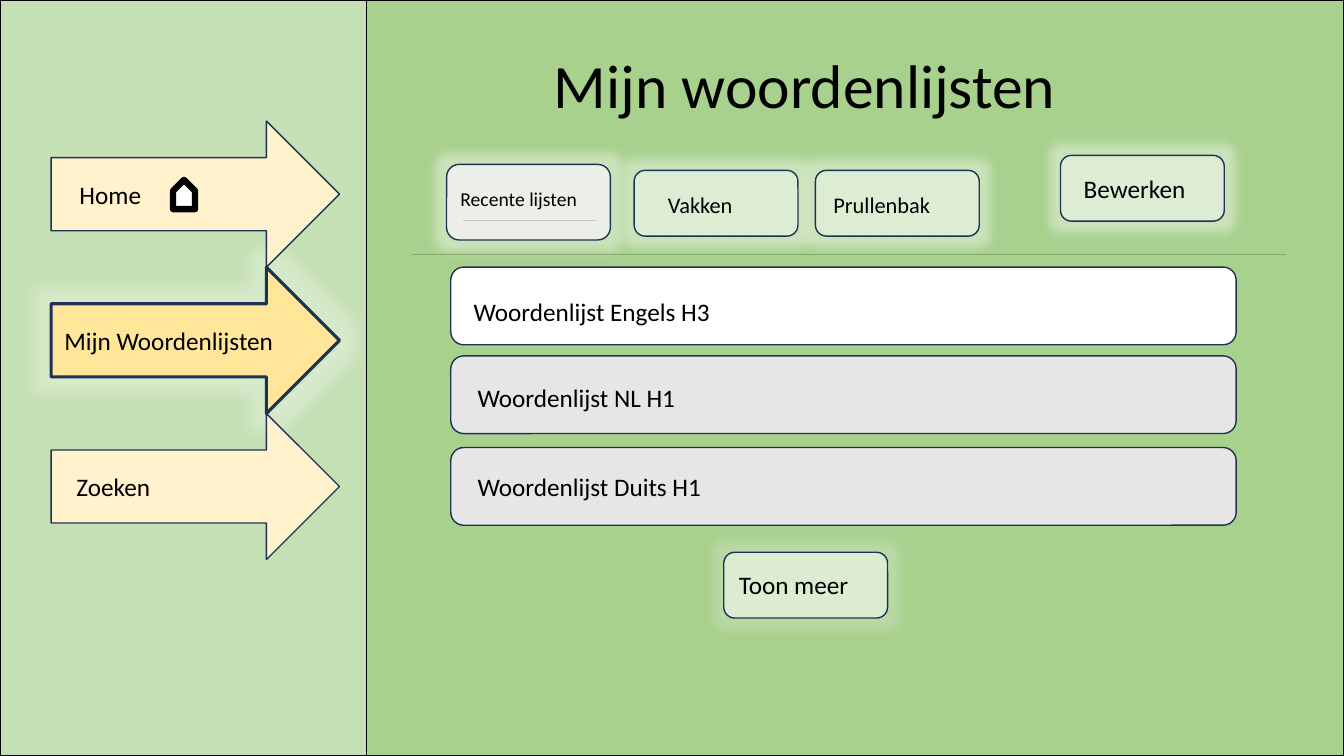
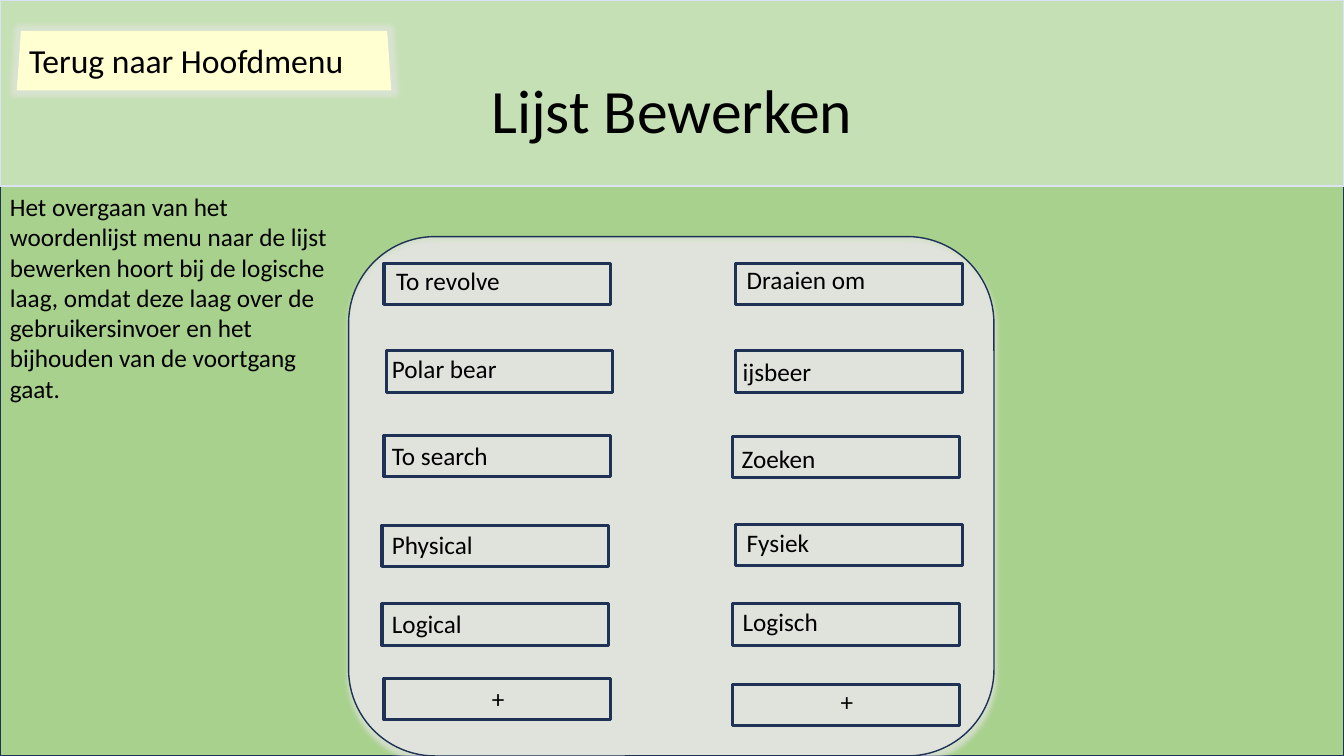
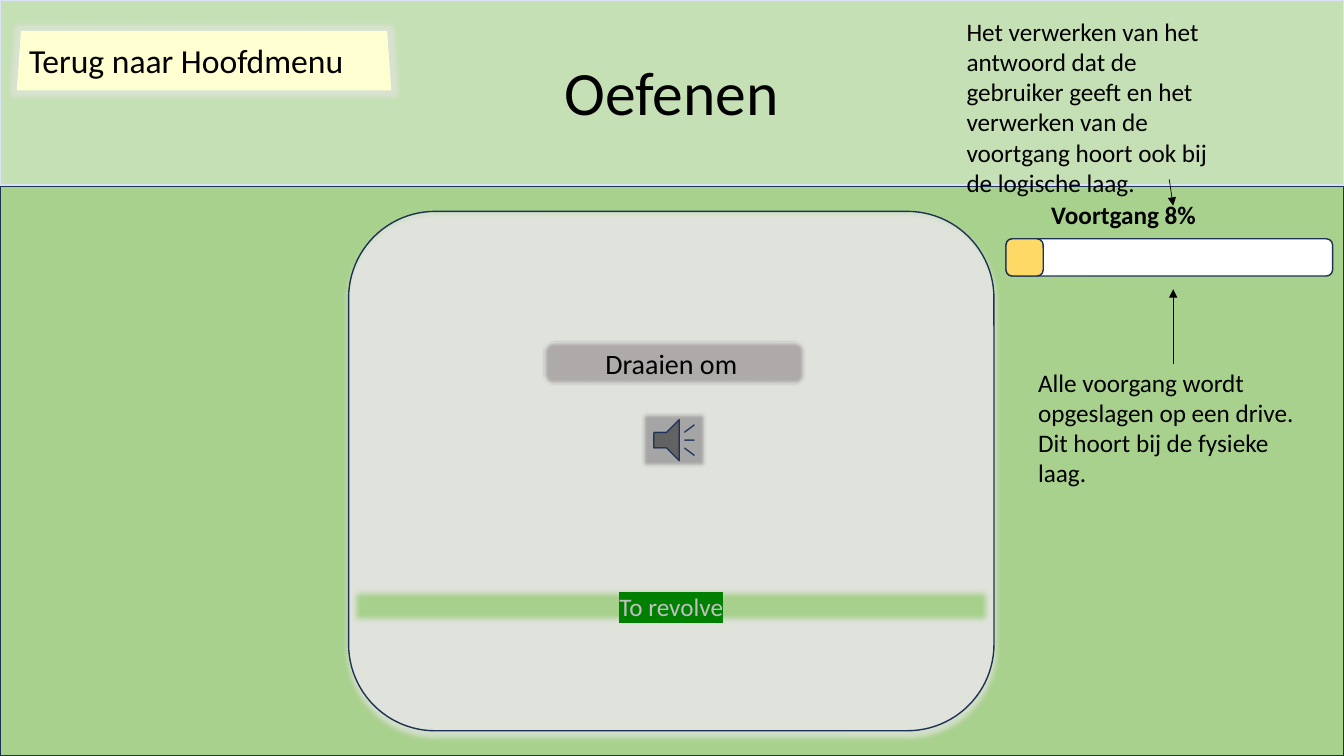
from dataclasses import dataclass

from lxml import etree
from pptx import Presentation
from pptx.dml.color import RGBColor
from pptx.enum.shapes import MSO_CONNECTOR, MSO_SHAPE
from pptx.enum.text import MSO_ANCHOR, MSO_AUTO_SIZE, PP_ALIGN
from pptx.oxml.ns import qn
from pptx.util import Pt

RECT = MSO_SHAPE.RECTANGLE
ROUND = MSO_SHAPE.ROUNDED_RECTANGLE
ARROW = MSO_SHAPE.RIGHT_ARROW
HOUSE = MSO_SHAPE.PENTAGON
TRAPEZOID = MSO_SHAPE.TRAPEZOID
SOUND = MSO_SHAPE.ACTION_BUTTON_SOUND
STRAIGHT = MSO_CONNECTOR.STRAIGHT
LEFT = PP_ALIGN.LEFT
CENTER = PP_ALIGN.CENTER
MIDDLE = MSO_ANCHOR.MIDDLE
FIXED = MSO_AUTO_SIZE.NONE
TITLE_ONLY = 5


@dataclass(frozen=True)
class Theme:
    font: str = "Calibri"
    black: str = "000000"
    white: str = "FFFFFF"
    navy: str = "1E3256"
    green: str = "A9D18E"
    light_green: str = "C5E0B4"
    pale_green: str = "E2F0D9"
    header_edge: str = "DAE3F3"
    rule: str = "86A873"
    underline: str = "C8C8C8"
    cream: str = "FFF2CC"
    yellow: str = "FFE699"
    amber: str = "FFD966"
    back: str = "FFFFD1"
    smoke: str = "F2F2F2"
    gray: str = "E7E6E6"
    mid_gray: str = "AFABAB"
    sound: str = "A6A6A6"
    answer: str = "BFBFBF"
    highlight: str = "008000"
    title: int = 44
    large: int = 24
    prompt: int = 20
    body: int = 18
    small: int = 16
    tiny: int = 14


THEME = Theme()


def add_color(parent, color, alpha=100):
    node = etree.SubElement(parent, qn("a:srgbClr"), val=color)
    if alpha < 100:
        etree.SubElement(node, qn("a:alpha"), val=str(alpha * 1000))


class Painter:
    def __init__(self, theme):
        self.theme = theme
        self.deck = Presentation()
        self.deck.slide_width = Pt(960)
        self.deck.slide_height = Pt(540)
        self.page = None

    def new_page(self):
        self.page = self.deck.slides.add_slide(self.deck.slide_layouts[TITLE_ONLY])

    def add_text(self, frame, text, size, color=None, align=LEFT, bold=False):
        para = frame.paragraphs[0]
        para.alignment = align
        span = para.add_run()
        span.text = text
        span.font.name = self.theme.font
        span.font.size = Pt(size)
        span.font.bold = bold
        span.font.color.rgb = RGBColor.from_string(color or self.theme.black)
        return para, span

    def title(self, text, left, top, width, height):
        box = self.page.shapes.title
        box.left, box.top, box.width, box.height = map(Pt, (left, top, width, height))
        frame = box.text_frame
        frame.word_wrap = True
        frame.auto_size = FIXED
        frame.vertical_anchor = MIDDLE
        para, _ = self.add_text(frame, text, self.theme.title, align=CENTER)
        para.line_spacing = 0.9
        box.element.getparent().append(box.element)

    def label(self, text, left, top, width, height=29, size=None, align=LEFT, bold=False):
        box = self.page.shapes.add_textbox(*map(Pt, (left, top, width, height)))
        box.text_frame.word_wrap = True
        self.add_text(box.text_frame, text, size or self.theme.body, align=align, bold=bold)

    def shape(self, kind, left, top, width, height, fill=None, line=None, weight=1, alpha=100):
        box = self.page.shapes.add_shape(kind, *map(Pt, (left, top, width, height)))
        box.shadow.inherit = False
        if fill:
            box.fill.solid()
            box.fill.fore_color.rgb = RGBColor.from_string(fill)
            if alpha < 100:
                color = box.element.spPr.find(qn("a:solidFill"))[0]
                etree.SubElement(color, qn("a:alpha"), val=str(alpha * 1000))
        else:
            box.fill.background()
        if line:
            box.line.color.rgb = RGBColor.from_string(line)
            box.line.width = Pt(weight)
        else:
            box.line.fill.background()
        return box

    def effect(self, box, kind, color=None, alpha=100, **lengths):
        effects = box.element.spPr.find(qn("a:effectLst"))
        values = {name: str(int(value)) for name, value in lengths.items()}
        node = etree.SubElement(effects, qn("a:" + kind), **values)
        if color:
            add_color(node, color, alpha)

    def glow(self, box, radius, color=None, alpha=60):
        self.effect(box, "glow", color or self.theme.pale_green, alpha, rad=Pt(radius))

    def soften(self, box, radius):
        self.effect(box, "softEdge", rad=Pt(radius))

    def line(self, x1, y1, x2, y2, color, arrow=False):
        link = self.page.shapes.add_connector(STRAIGHT, *map(Pt, (x1, y1, x2, y2)))
        link.line.color.rgb = RGBColor.from_string(color)
        link.line.width = Pt(0.5)
        properties = link.element.spPr
        if arrow:
            etree.SubElement(properties.find(qn("a:ln")), qn("a:tailEnd"), type="triangle")
        etree.SubElement(properties, qn("a:effectLst"))

    def button(self, left, top, height=47, fill=None, glow=None):
        theme = self.theme
        box = self.shape(ROUND, left, top, 117, height, fill or theme.pale_green, theme.navy, alpha=83)
        self.glow(box, 15, glow)

    def frame(self, card_top, header_height):
        theme = self.theme
        self.shape(RECT, 0, 133, 960, 407, theme.green, theme.navy)
        card = self.shape(ROUND, 249, card_top, 461, 371, theme.gray, theme.navy, alpha=67)
        self.effect(card, "outerShdw", theme.gray, blurRad=Pt(4), dist=Pt(4), dir=90 * 60000)
        self.shape(RECT, 0, 0, 960, header_height, theme.light_green, theme.header_edge)
        back = self.shape(TRAPEZOID, 12, 22, 267.5, 42.5, theme.back)
        back.adjustments[0] = 0.07
        self.glow(back, 7, theme.gray)
        self.label("Terug naar Hoofdmenu", 13.7, 25.2, 263.5, 36, theme.large)


def build_word_lists(paint):
    theme = paint.theme
    paint.new_page()
    paint.shape(RECT, 0, 0, 263.5, 540, theme.light_green, theme.black)
    first, step = 86.5, 104.4
    active = paint.shape(ARROW, 36.5, first + step, 206, step, theme.yellow, theme.navy, 2.25)
    paint.glow(active, 22)
    for row in (0, 2):
        paint.shape(ARROW, 36.5, first + row * step, 206, step, theme.cream, theme.navy)
    for row, (text, left) in enumerate((("Home", 49.7), ("Mijn Woordenlijsten", 38.9), ("Zoeken", 47.5))):
        paint.label(text, left, first + row * step + 38.1, 195)
    house = paint.shape(HOUSE, 121, 131, 20.9, 15.8, theme.white, theme.black, 4.5)
    house.rotation = 270

    paint.shape(RECT, 262, 0, 698, 540, theme.green, theme.black)
    paint.button(757.5, 111)
    paint.button(319, 117.4, 54, theme.smoke)
    paint.button(453, 121.7)
    paint.button(582.5, 121.7)
    paint.button(517, 394.5, glow=theme.light_green)
    paint.line(294.5, 181.4, 918.7, 181.4, theme.rule)
    paint.line(331, 157.7, 425.5, 157.7, theme.underline)
    for text, left, top, size in (
        ("Bewerken", 767, 120.2, theme.body),
        ("Recente lijsten", 321.8, 130.3, theme.tiny),
        ("Vakken", 470, 133.2, theme.small),
        ("Prullenbak", 588.2, 133.2, theme.small),
        ("Toon meer", 520.6, 403.2, theme.body),
    ):
        paint.label(text, left, top, 123, size=size)

    for text, top, label_left, label_top, fill in (
        ("Woordenlijst Engels H3", 190.8, 331.2, 208, theme.white),
        ("Woordenlijst NL H1", 254.2, 334, 269.3, theme.gray),
        ("Woordenlijst Duits H1", 319.7, 334, 333.4, theme.gray),
    ):
        paint.shape(ROUND, 322, top, 561, 55.5, fill, theme.navy)
        paint.label(text, label_left, label_top, 353)
    paint.title("Mijn woordenlijsten", 262, 10.8, 626, 104.4)


def build_editor(paint):
    theme = paint.theme
    paint.new_page()
    paint.frame(169, 133)
    paint.title("Lijst Bewerken", 66, 28.8, 828, 104.4)
    paint.label(
        "Het overgaan van het woordenlijst menu naar de lijst bewerken hoort bij de "
        "logische laag, omdat deze laag over de gebruikersinvoer en het bijhouden "
        "van de voortgang gaat.", 0, 133.2, 252, 160)
    for text, left, top, label_left, label_top in (
        ("To revolve", 274.3, 187.9, 275.8, 185.8),
        ("Polar bear", 275.8, 250.6, 272.9, 249.1),
        ("To search", 274.3, 311, 272.9, 311),
        ("Physical", 272.9, 375.1, 272.9, 374.4),
        ("Logical", 272.9, 431.3, 272.9, 431.3),
        ("+", 274.3, 484.6, 275.8, 484.6),
        ("Draaien om", 525.6, 187.9, 526.3, 185),
        ("ijsbeer", 525.6, 250.6, 523.4, 250.6),
        ("Zoeken", 523.4, 311.8, 522.7, 313.2),
        ("Fysiek", 525.6, 374.4, 526.3, 373),
        ("Logisch", 523.4, 431.3, 523.4, 429.8),
        ("+", 523.4, 488.9, 524.9, 486.7),
    ):
        paint.shape(RECT, left, top, 162, 29.5, line=theme.navy, weight=2.25)
        paint.label(text, label_left, label_top, 160, align=CENTER if text == "+" else LEFT)


def build_practice(paint):
    theme = paint.theme
    paint.new_page()
    paint.frame(151, 132.3)
    paint.title("Oefenen", 310, 38.2, 340, 60.5)
    prompt = paint.shape(ROUND, 388, 244, 186.5, 31, theme.mid_gray, theme.navy)
    paint.soften(prompt, 2.5)
    paint.label("Draaien om", 249, 244, 461, 31.5, theme.prompt, CENTER)
    sound = paint.shape(SOUND, 458.6, 295.2, 45.4, 38.2, theme.sound, theme.navy)
    paint.soften(sound, 2.5)

    answer = paint.shape(RECT, 249, 418.3, 461, 29, theme.green)
    paint.soften(answer, 5)
    answer.text_frame.word_wrap = True
    para, _ = paint.add_text(answer.text_frame, "To revolve", theme.body, theme.answer, CENTER)
    highlight = etree.Element(qn("a:highlight"))
    add_color(highlight, theme.highlight)
    next(answer.element.txBody.iter(qn("a:solidFill"))).addnext(highlight)

    for width, fill in ((233.3, theme.white), (26.6, theme.amber)):
        paint.shape(ROUND, 718.6, 170.6, width, 26.6, fill, theme.navy)
    paint.label("Voortgang 8%", 743.8, 139, 177, bold=True)
    paint.label(
        "Alle voorgang wordt opgeslagen op een drive. Dit hoort bij de fysieke laag.",
        734.4, 258.5, 207.4, 94.3)
    paint.label(
        "Het verwerken van het antwoord dat de gebruiker geeft en het verwerken van "
        "de voortgang hoort ook bij de logische laag.", 683.3, 7.9, 207.4, 138.2)
    paint.line(838, 260, 838, 206.6, theme.black, arrow=True)
    paint.line(835.2, 128.2, 838, 146.9, theme.black, arrow=True)


def main():
    paint = Painter(THEME)
    build_word_lists(paint)
    build_editor(paint)
    build_practice(paint)
    paint.deck.save("out.pptx")


if __name__ == "__main__":
    main()
